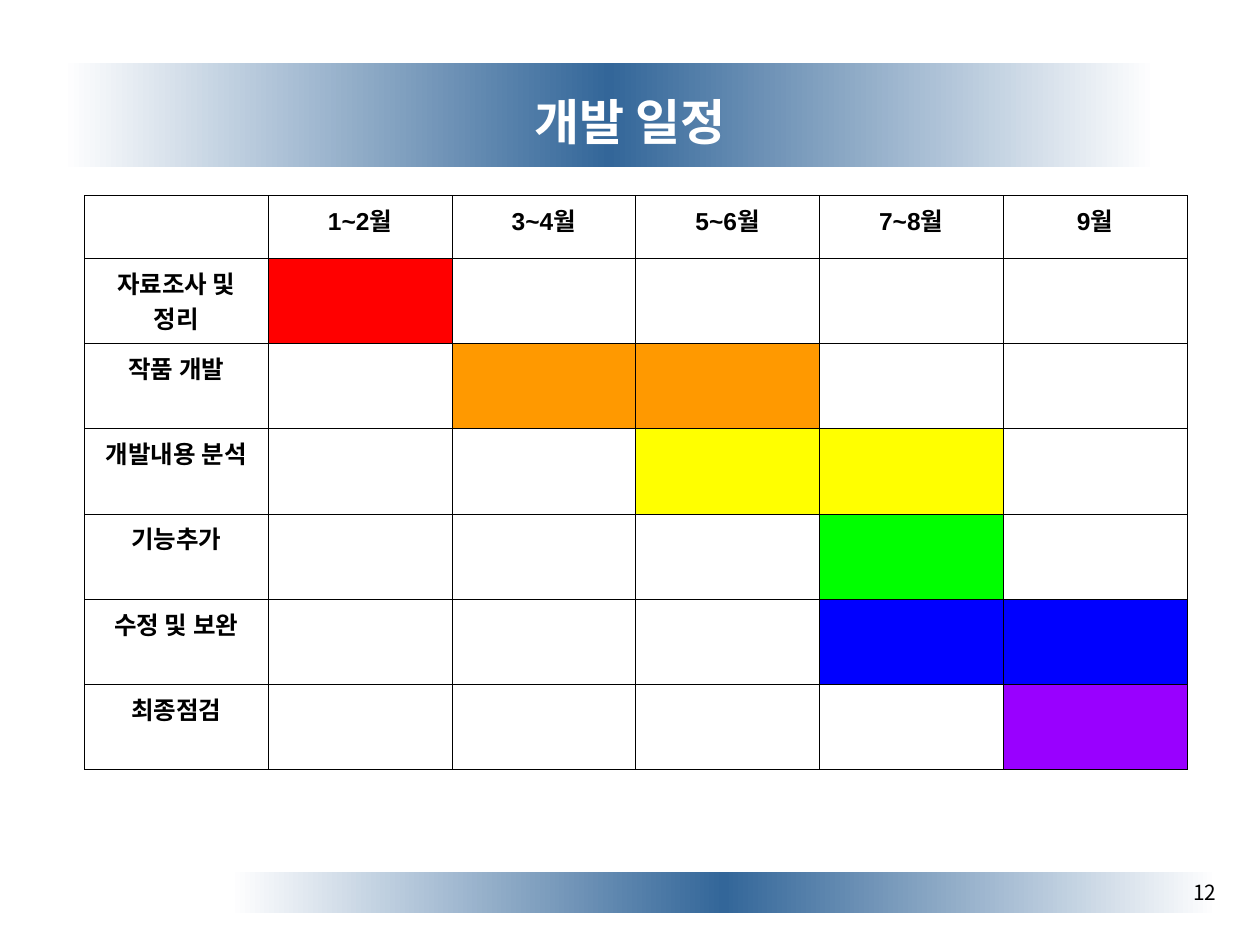
from copy import deepcopy
from dataclasses import dataclass

from lxml import etree
from pptx import Presentation
from pptx import util as u
from pptx.dml.color import RGBColor
from pptx.enum import shapes, text
from pptx.oxml import ns


@dataclass(frozen=True)
class Theme:
    white: str = "FFFFFF"
    black: str = "000000"
    band: str = "336699"
    font: str = "Noto Sans CJK KR"
    table_font: str = "Arial"
    title_size: float = 28
    table_size: float = 14
    number_size: float = 11.9
    border_width: float = 0.34


THEME = Theme()
MONTHS = ["1~2월", "3~4월", "5~6월", "7~8월", "9월"]
TASKS = [
    (["자료조사 및", "정리"], 1, 1, "FF0000"),
    (["작품 개발"], 2, 3, "FF9900"),
    (["개발내용 분석"], 3, 4, "FFFF00"),
    (["기능추가"], 4, 4, "00FF00"),
    (["수정 및 보완"], 4, 5, "0000FF"),
    (["최종점검"], 5, 5, "9900FF"),
]


def inches(box):
    return [u.Inches(length) for length in box]


def write_lines(frame, lines, size, color, font, bold, align):
    for index, line in enumerate(lines):
        paragraph = frame.add_paragraph() if index else frame.paragraphs[0]
        paragraph.alignment = align
        run = paragraph.add_run()
        run.text = line
        run.font.size = u.Pt(size)
        run.font.bold = bold
        run.font.name = font
        run.font.color.rgb = RGBColor.from_string(color)
        east_asian = etree.SubElement(run.font._element, ns.qn("a:ea"))
        east_asian.set("typeface", THEME.font)


def add_band(slide, box):
    shape = slide.shapes.add_shape(shapes.MSO_SHAPE.RECTANGLE, *inches(box))
    shape.shadow.inherit = False
    shape.line.fill.background()
    shape.fill.gradient()
    shape.fill.gradient_angle = 0
    for stop in shape.fill.gradient_stops:
        stop.color.rgb = RGBColor.from_string(THEME.white)
    stops = shape._element.spPr.find(".//" + ns.qn("a:gsLst"))
    stops.insert(1, deepcopy(stops[0]))
    for stop, position in zip(shape.fill.gradient_stops, (0, 0.5, 1)):
        stop.position = position
    shape.fill.gradient_stops[1].color.rgb = RGBColor.from_string(THEME.band)


def add_text(slide, box, words, size, color, bold, align):
    frame = slide.shapes.add_textbox(*inches(box)).text_frame
    frame.word_wrap = True
    frame.vertical_anchor = text.MSO_ANCHOR.MIDDLE
    write_lines(frame, [words], size, color, THEME.font, bold, align)


def add_title(slide, box):
    add_text(slide, box, "개발 일정", THEME.title_size, THEME.white, True,
             text.PP_ALIGN.CENTER)


def add_page_number(slide, box):
    add_text(slide, box, "12", THEME.number_size, THEME.black, False,
             text.PP_ALIGN.RIGHT)


def style_cell(cell, color):
    cell.fill.solid()
    cell.fill.fore_color.rgb = RGBColor.from_string(color)
    properties = cell._tc.get_or_add_tcPr()
    for index, side in enumerate(("lnL", "lnR", "lnT", "lnB")):
        border = etree.Element(ns.qn("a:" + side))
        border.set("w", str(int(u.Pt(THEME.border_width))))
        fill = etree.SubElement(border, ns.qn("a:solidFill"))
        etree.SubElement(fill, ns.qn("a:srgbClr")).set("val", THEME.black)
        properties.insert(index, border)


def write_cell(cell, lines):
    write_lines(cell.text_frame, lines, THEME.table_size, THEME.black,
                THEME.table_font, True, text.PP_ALIGN.CENTER)


def add_schedule(slide, box):
    table = slide.shapes.add_table(
        len(TASKS) + 1, len(MONTHS) + 1, *inches(box)).table
    table.first_row = False
    table.horz_banding = False
    header_height = 0.5
    task_height = (box[3] - header_height) / len(TASKS)
    for index, row in enumerate(table.rows):
        row.height = u.Inches(task_height if index else header_height)
    for column, month in enumerate(MONTHS, 1):
        write_cell(table.cell(0, column), [month])
    for column in range(len(table.columns)):
        style_cell(table.cell(0, column), THEME.white)
    for row, (lines, first, last, color) in enumerate(TASKS, 1):
        write_cell(table.cell(row, 0), lines)
        for column in range(len(table.columns)):
            active = first <= column <= last
            style_cell(table.cell(row, column),
                       color if active else THEME.white)


def main():
    presentation = Presentation()
    presentation.slide_width = u.Inches(10)
    presentation.slide_height = u.Inches(7.5)
    slide = presentation.slides.add_slide(presentation.slide_layouts[6])
    add_band(slide, (1.83, 6.92, 7.83, 0.33))
    add_band(slide, (0.5, 0.5, 8.67, 0.83))
    add_page_number(slide, (7.67, 6.92, 2.08, 0.33))
    add_title(slide, (0.75, 0.67, 8.5, 0.58))
    add_schedule(slide, (0.67, 1.55, 8.75, 4.56))
    presentation.save("out.pptx")


if __name__ == "__main__":
    main()
